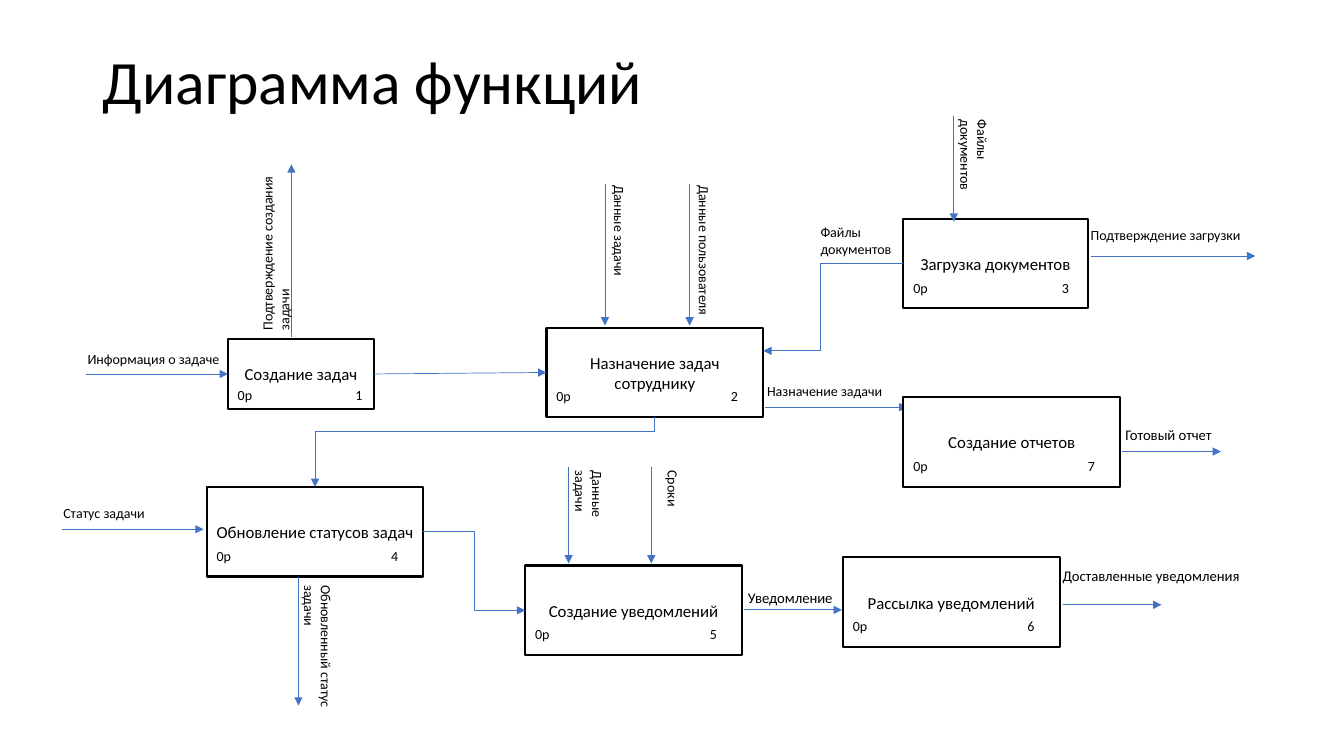
from lxml import etree
from pptx import Presentation
from pptx.dml.color import RGBColor
from pptx.enum.shapes import MSO_CONNECTOR, MSO_SHAPE
from pptx.enum.text import MSO_ANCHOR, MSO_AUTO_SIZE, PP_ALIGN
from pptx.oxml.ns import qn
from pptx.util import Inches, Pt

RECT = MSO_SHAPE.RECTANGLE
LINE, ELBOW = MSO_CONNECTOR.STRAIGHT, MSO_CONNECTOR.ELBOW
MIDDLE, TOP = MSO_ANCHOR.MIDDLE, MSO_ANCHOR.TOP
CENTER, LEFT = PP_ALIGN.CENTER, PP_ALIGN.LEFT
GROW = MSO_AUTO_SIZE.SHAPE_TO_FIT_TEXT
BLACK = RGBColor(0, 0, 0)
WHITE = RGBColor(255, 255, 255)
BLUE = RGBColor(0x44, 0x72, 0xC4)
FACE = "Calibri"

# Content: functions as number: (name, left, top, width, height)
TITLE = "Диаграмма функций"
COST = "0р"
BOXES = {
    1: ("Создание задач", 2.26, 3.36, 1.45, 0.7),
    2: ("Назначение задач сотруднику", 5.42, 3.25, 2.15, 0.89),
    3: ("Загрузка документов", 8.96, 2.17, 1.83, 0.89),
    4: ("Обновление статусов задач", 2.05, 4.83, 2.15, 0.89),
    5: ("Создание уведомлений", 5.21, 5.61, 2.15, 0.89),
    6: ("Рассылка уведомлений", 8.36, 5.53, 2.15, 0.89),
    7: ("Создание отчетов", 8.96, 3.94, 2.15, 0.89),
}

# Arrows: start, end, (box, side) joined at start, the same at end
UNDER = [((7.59, 4.04), (9, 4.04), None, None)]
ARROWS = [
    ((0.85, 3.71), (2.26, 3.71), None, (1, 1)),
    ((3.71, 3.71), (5.42, 3.71), (1, 3), (2, 1)),
    ((6, 1.83), (6, 3.23), None, None),
    ((6.84, 1.83), (6.84, 3.23), None, None),
    ((0.62, 5.25), (2.02, 5.25), None, None),
    ((2.96, 5.72), (2.96, 7), None, None),
    ((2.89, 3.34), (2.89, 1.63), None, None),
    ((7.38, 6.05), (8.35, 6.05), None, None),
    ((5.64, 4.63), (5.64, 5.59), None, None),
    ((6.46, 4.63), (6.46, 5.59), None, None),
    ((10.54, 6), (11.52, 6), None, None),
    ((11.13, 4.48), (12.11, 4.48), None, None),
    ((9.46, 1.15), (9.46, 2.2), None, None),
    ((10.82, 2.54), (12.45, 2.54), None, None),
]
# Bent arrows add: bend as a share of the way, leaves downward
BENT = [
    ((4.2, 5.27), (5.21, 6.05), (4, 3), (5, 1), 0.5, False),
    ((6.5, 4.14), (3.12, 4.83), (2, 2), (4, 0), 0.2, True),
    ((8.96, 2.62), (7.57, 3.48), (3, 1), None, 0.59, False),
]

# Arrow labels: text, (left, top, width, height), turn, size
LABELS = [
    ("Информация о задаче", (0.77, 3.43, 1.57, 0.27), 0, 10),
    ("Данные задачи", (5.36, 2.39, 1.57, 0.27), 90, 10),
    ("Данные пользователя", (6.2, 2.39, 1.57, 0.27), 90, 10),
    ("Назначение задачи", (7.51, 3.75, 1.57, 0.27), 0, 10),
    ("Статус задачи", (0.53, 4.96, 1.57, 0.27), 0, 10),
    ("Обновленный статус задачи", (2.37, 6.41, 1.7, 0.3), 90, 10),
    ("Подтверждение создания задачи", (1.75, 2.17, 1.97, 0.44), 270, 10),
    ("Уведомление", (7.32, 5.79, 1.32, 0.23), 0, 10.5),
    ("Данные задачи", (5.33, 4.91, 1.07, 0.39), 90, 10),
    ("Сроки", (6.14, 4.97, 1.07, 0.27), 90, 10),
    ("Доставленные уведомления", (10.44, 5.57, 1.97, 0.45), 0, 10.5),
    (" Готовый отчет", (11.03, 4.18, 1.97, 0.28), 0, 10.5),
    ("Файлы документов", (9.07, 1.46, 1.18, 0.44), 90, 10),
    ("Подтверждение загрузки", (10.72, 2.2, 1.97, 0.28), 0, 10),
    ("Файлы документов", (8.04, 2.17, 0.96, 0.44), 0, 10),
]

prs = Presentation()
prs.slide_width, prs.slide_height = Inches(13.33), Inches(7.5)
slide = prs.slides.add_slide(prs.slide_layouts[6])
shapes = slide.shapes


def write(shape, text, size, align=LEFT, anchor=TOP):
    frame = shape.text_frame
    frame.word_wrap = True
    frame.vertical_anchor = anchor
    para = frame.paragraphs[0]
    para.alignment = align
    run = para.add_run()
    run.text = text
    look = {"name": FACE, "size": Pt(size)}
    for key, value in look.items():
        setattr(run.font, key, value)
    run.font.color.rgb = BLACK
    return para


def label(text, rect, turn=0, size=10):
    box = shapes.add_textbox(*map(Inches, rect))
    write(box, text, size)
    box.text_frame.auto_size = GROW
    box.rotation = turn


def arrow(kind, start, end, first, last):
    link = shapes.add_connector(kind, *map(Inches, start + end))
    if first:
        link.begin_connect(nodes[first[0]], first[1])
    if last:
        link.end_connect(nodes[last[0]], last[1])
    link.line.color.rgb = BLUE
    link.line.width = Pt(0.5)
    ln = link.line._get_or_add_ln()
    etree.SubElement(ln, qn("a:tailEnd"), type="triangle")
    etree.SubElement(link._element.spPr, qn("a:effectLst"))
    return link


def bend(link, share, down):
    geom = link._element.spPr.find(qn("a:prstGeom"))
    guides = geom.find(qn("a:avLst"))
    etree.SubElement(guides, qn("a:gd"), name="adj1",
                     fmla=f"val {round(share * 100000)}")
    if down:
        # Swap the sides about the centre, then turn a quarter
        wide, high = link.width, link.height
        link.left += (wide - high) // 2
        link.top += (high - wide) // 2
        link.width, link.height = high, wide
        xfrm = link._element.spPr.find(qn("a:xfrm"))
        xfrm.attrib.pop("flipH", None)
        xfrm.set("rot", "5400000")


# Title
head = shapes.add_textbox(*map(Inches, (0.92, 0.4, 11.5, 0.88)))
write(head, TITLE, 44, anchor=MIDDLE).line_spacing = 0.9

# Arrow whose tip goes under a box
nodes = {}
for item in UNDER:
    arrow(LINE, *item)

# Function boxes, with cost and number in the lower corners
for num, (name, x, y, w, h) in BOXES.items():
    box = shapes.add_shape(RECT, *map(Inches, (x, y, w, h)))
    box.shadow.inherit = False
    box.fill.solid()
    box.fill.fore_color.rgb = WHITE
    box.line.color.rgb = BLACK
    box.line.width = Pt(1.5)
    write(box, name, 12, CENTER, MIDDLE)
    nodes[num] = box
    low = y + h - (0.27 if h < 0.8 else 0.34)
    label(COST, (x, low, 0.27 * w, 0.27))
    label(str(num), (x + 0.805 * w, low, 0.195 * w, 0.27))

# Arrows and their labels
for item in ARROWS:
    arrow(LINE, *item)
for *ends, share, down in BENT:
    bend(arrow(ELBOW, *ends), share, down)
for item in LABELS:
    label(*item)

prs.save("out.pptx")
